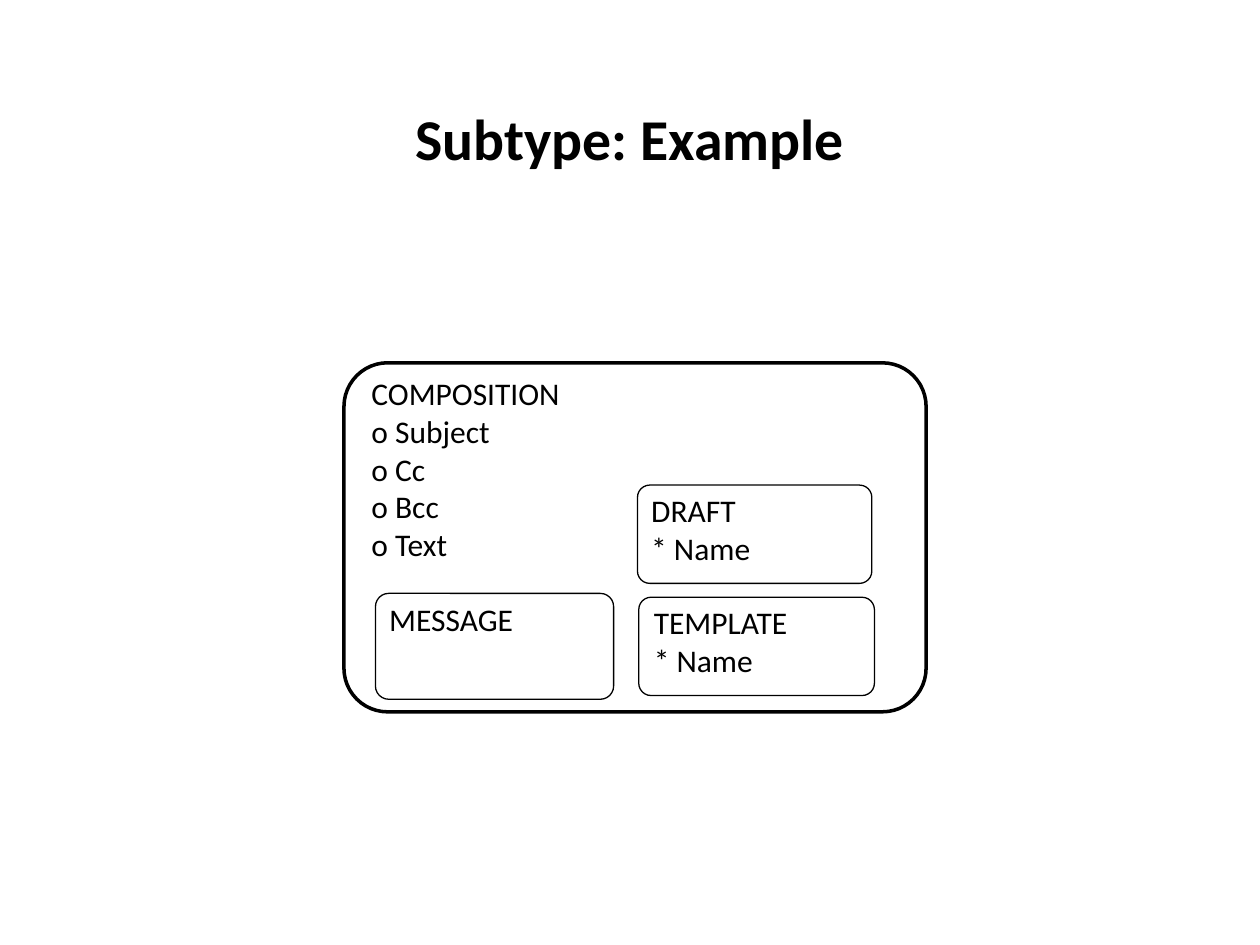
import pptx
import pptx.util
import pptx.dml.color
import pptx.enum.shapes
import pptx.enum.text

Inches, Pt = pptx.util.Inches, pptx.util.Pt
BLACK = pptx.dml.color.RGBColor(0, 0, 0)
WHITE = pptx.dml.color.RGBColor(255, 255, 255)
ROUNDED = pptx.enum.shapes.MSO_SHAPE.ROUNDED_RECTANGLE


def format_font(font, size, bold):
    settings = {"name": "Calibri", "size": Pt(size), "bold": bold}
    for attribute, value in settings.items():
        setattr(font, attribute, value)
    font.color.rgb = BLACK


deck = pptx.Presentation()
deck.slide_width, deck.slide_height = Inches(10), Inches(7.5)
slide = deck.slides.add_slide(deck.slide_layouts[5])

# Title
title = slide.shapes.title
title_place = {"left": 0.69, "top": 0.4, "width": 8.62, "height": 1.45}
for attribute, value in title_place.items():
    setattr(title, attribute, Inches(value))
title.text_frame.text = "Subtype: Example"
title.text_frame.vertical_anchor = pptx.enum.text.MSO_ANCHOR.MIDDLE
heading = title.text_frame.paragraphs[0]
heading.alignment = pptx.enum.text.PP_ALIGN.CENTER
heading.line_spacing = 0.9
format_font(heading.runs[0].font, 33, True)

# Supertype first, then its subtypes:
# lines, box place, line width, fill, label place
entities = [
    (["COMPOSITION", "o Subject", "o Cc", "o Bcc", "o Text"],
     (2.73, 2.88, 4.62, 2.77), 2, None, (2.85, 2.92, 4.34, 1.6)),
    (["MESSAGE"],
     (2.98, 4.71, 1.89, 0.84), 0.75, WHITE, (2.99, 4.71, 1.49, 0.4)),
    (["DRAFT", "* Name"],
     (5.06, 3.85, 1.86, 0.78), 0.75, WHITE, (5.07, 3.85, 1.6, 0.7)),
    (["TEMPLATE", "* Name"],
     (5.07, 4.74, 1.87, 0.78), 0.75, WHITE, (5.09, 4.74, 1.99, 0.7)),
]
for lines, box_place, line_width, fill, label_place in entities:
    # Entity box
    entity = slide.shapes.add_shape(ROUNDED, *map(Inches, box_place))
    entity.adjustments[0] = 0.125
    entity.shadow.inherit = False
    entity.line.color.rgb = BLACK
    entity.line.width = Pt(line_width)
    if fill is None:
        entity.fill.background()
    else:
        entity.fill.solid()
        entity.fill.fore_color.rgb = fill

    # Entity name and attributes, one line each
    label = slide.shapes.add_textbox(*map(Inches, label_place)).text_frame
    label.word_wrap = True
    label.auto_size = pptx.enum.text.MSO_AUTO_SIZE.SHAPE_TO_FIT_TEXT
    label.paragraphs[0].text = "\v".join(lines)
    for run in label.paragraphs[0].runs:
        format_font(run.font, 18, False)

deck.save("out.pptx")
